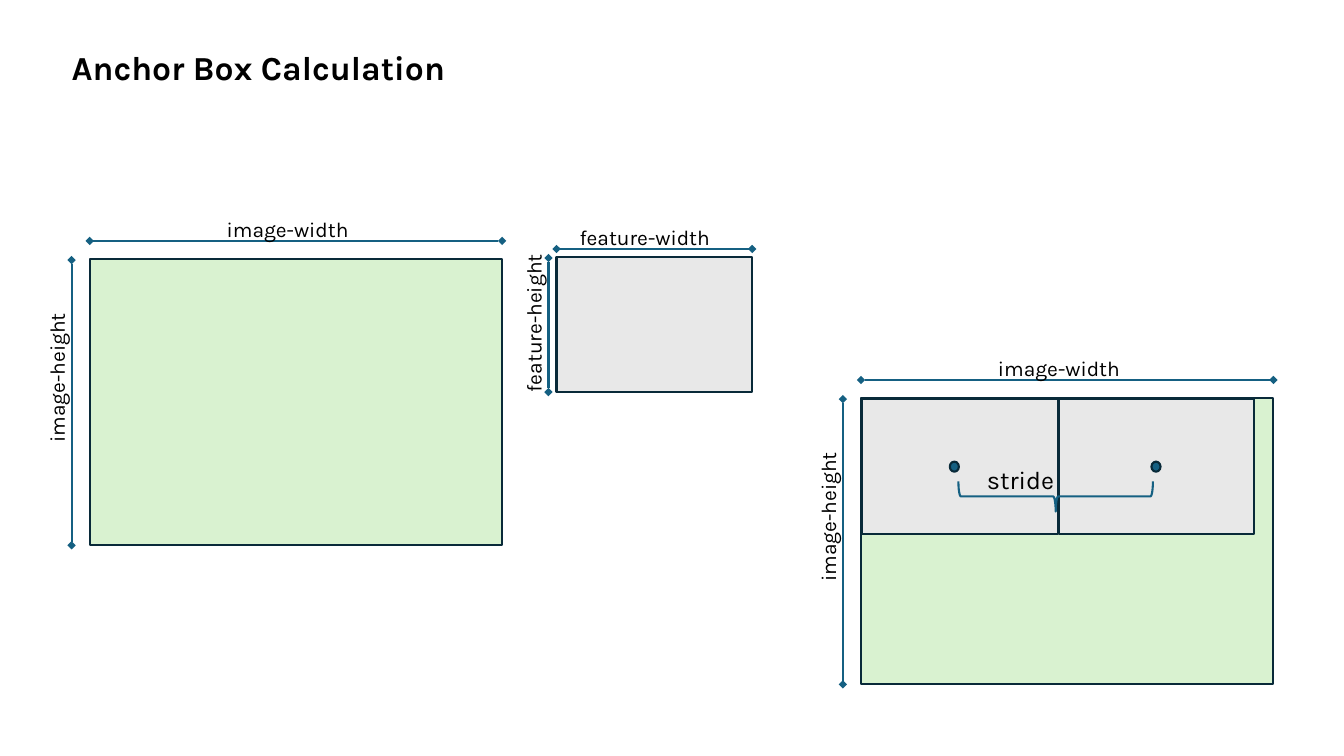
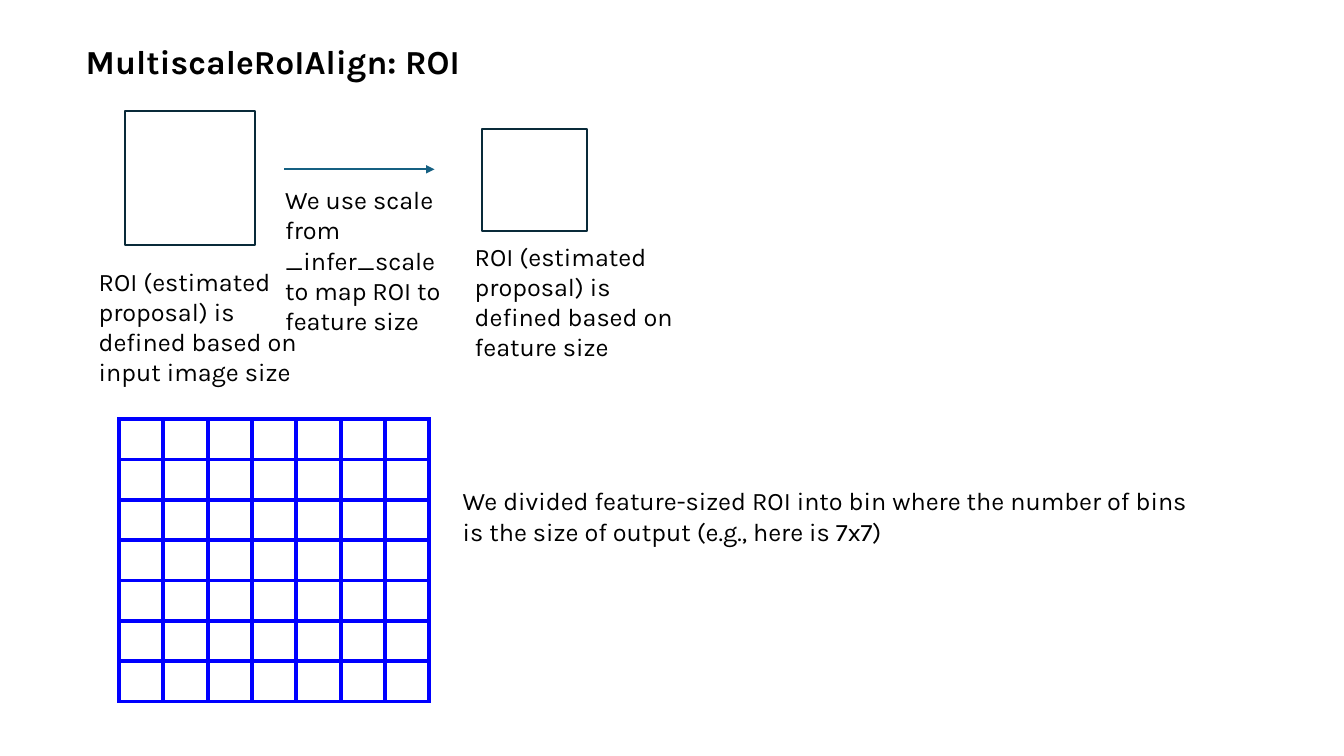
from dataclasses import dataclass

from lxml import etree
from pptx import Presentation
from pptx.dml.color import RGBColor
from pptx.enum.shapes import MSO_CONNECTOR, MSO_SHAPE
from pptx.enum.text import MSO_ANCHOR, MSO_AUTO_SIZE, PP_ALIGN
from pptx.oxml.ns import qn
from pptx.util import Emu, Pt

RECT = MSO_SHAPE.RECTANGLE
OVAL = MSO_SHAPE.OVAL
BRACE = MSO_SHAPE.RIGHT_BRACE
STRAIGHT = MSO_CONNECTOR.STRAIGHT
LEFT = PP_ALIGN.LEFT
TOP = MSO_ANCHOR.TOP
NO_FIT = MSO_AUTO_SIZE.NONE
EMU_PER_PX = 9144
TITLE_ONLY = 5

IMAGE_W, IMAGE_H = 409, 284
FEATURE_W, FEATURE_H = 194, 134


@dataclass(frozen=True)
class Theme:
    font: str = "Karla"
    text: str = "000000"
    outline: str = "092A39"
    accent: str = "156082"
    image: str = "D9F2D0"
    feature: str = "E8E8E8"
    grid: str = "0000FF"
    title_size: int = 24
    body_size: int = 18
    label_size: int = 15
    line_width: float = 1.5
    grid_width: int = 3


def px(n):
    return Emu(round(n * EMU_PER_PX))


def rgb(value):
    return RGBColor.from_string(value)


class Deck:
    """Holds the style and the current slide, and draws each kind of element."""

    def __init__(self, theme):
        self.theme = theme
        self.prs = Presentation()
        self.prs.slide_width, self.prs.slide_height = px(1333), px(750)
        self.s = None

    def slide(self, title, x, y, w):
        self.s = self.prs.slides.add_slide(self.prs.slide_layouts[TITLE_ONLY])
        sp = self.s.shapes.title
        sp.left, sp.top, sp.width, sp.height = px(x), px(y), px(w), px(50)
        self.fill_text(sp.text_frame, title, self.theme.title_size, bold=True)

    def fill_text(self, tf, text, size, bold=False):
        tf.word_wrap = True
        tf.auto_size = NO_FIT
        tf.vertical_anchor = TOP
        p = tf.paragraphs[0]
        p.alignment = LEFT
        r = p.add_run()
        r.text = text
        r.font.name = self.theme.font
        r.font.size = Pt(size)
        r.font.bold = bold
        r.font.color.rgb = rgb(self.theme.text)

    def text(self, text, x, y, w, h, size=None, rotation=0):
        sp = self.s.shapes.add_textbox(px(x), px(y), px(w), px(h))
        sp.rotation = rotation
        self.fill_text(sp.text_frame, text, size or self.theme.body_size)

    def shape(self, kind, x, y, w, h, fill=None, line=None, rotation=0):
        sp = self.s.shapes.add_shape(kind, px(x), px(y), px(w), px(h))
        sp.shadow.inherit = False
        sp.rotation = rotation
        if fill:
            sp.fill.solid()
            sp.fill.fore_color.rgb = rgb(fill)
        else:
            sp.fill.background()
        sp.line.color.rgb = rgb(line or self.theme.outline)
        sp.line.width = Pt(self.theme.line_width)

    def line(self, x1, y1, x2, y2, head=None, tail=None):
        sp = self.s.shapes.add_connector(STRAIGHT, px(x1), px(y1), px(x2), px(y2))
        sp.line.color.rgb = rgb(self.theme.accent)
        sp.line.width = Pt(self.theme.line_width)
        props = sp._element.spPr
        ln = props.find(qn("a:ln"))
        for tag, end in (("a:headEnd", head), ("a:tailEnd", tail)):
            if end:
                etree.SubElement(ln, qn(tag), type=end)
        etree.SubElement(props, qn("a:effectLst"))

    def measured_box(self, name, x, y, w, h, fill, gap, label_x, label_foot):
        self.shape(RECT, x, y, w, h, fill)
        ends = {"head": "diamond", "tail": "diamond"}
        self.line(x, y - gap, x + w, y - gap, **ends)
        self.line(x - gap, y + 1, x - gap, y + h, **ends)
        size, label_w, label_h = self.theme.label_size, 170, 35
        self.text(f"{name}-width", x + label_x, y - gap - 29, label_w, label_h, size)
        self.text(f"{name}-height", x - gap - 15 - label_w / 2,
                  y + label_foot - (label_w + label_h) / 2,
                  label_w, label_h, size, rotation=270)

    def image_box(self, x, y):
        self.measured_box("image", x, y, IMAGE_W, IMAGE_H, self.theme.image,
                          gap=18, label_x=126, label_foot=192)

    def feature_box(self, x, y):
        self.measured_box("feature", x, y, FEATURE_W, FEATURE_H, self.theme.feature,
                          gap=8, label_x=13, label_foot=144)

    def grid(self, x, y, count, cell_w, cell_h):
        frame = self.s.shapes.add_table(count, count, px(x), px(y),
                                        px(count * cell_w), px(count * cell_h))
        table = frame.table
        table.first_row = table.horz_banding = False
        for column in table.columns:
            column.width = px(cell_w)
        for row in table.rows:
            row.height = px(cell_h)
        for cell in table.iter_cells():
            cell.margin_top = cell.margin_bottom = 0
            self.borders(cell)
            cell.fill.background()

    def borders(self, cell):
        props = cell._tc.get_or_add_tcPr()
        for tag in ("a:lnL", "a:lnR", "a:lnT", "a:lnB"):
            ln = etree.SubElement(props, qn(tag), w=str(Pt(self.theme.grid_width)))
            fill = etree.SubElement(ln, qn("a:solidFill"))
            etree.SubElement(fill, qn("a:srgbClr"), val=self.theme.grid)


def anchor_slide(deck):
    theme = deck.theme
    deck.slide("Anchor Box Calculation", 61, 42, 577)
    deck.image_box(89, 257)
    deck.feature_box(552, 255)
    deck.image_box(854, 395)
    for x in (855, 1050):
        deck.shape(RECT, x, 396, FEATURE_W, FEATURE_H, theme.feature)
    for x in (942, 1142):
        deck.shape(OVAL, x, 458, 9, 10, theme.accent)
    deck.shape(BRACE, 1032, 396, 30, 193, line=theme.accent, rotation=90)
    deck.text("stride", 969, 456, 115, 40)


def roi_slide(deck):
    deck.slide("MultiscaleRoIAlign: ROI", 75, 36, 724)
    deck.shape(RECT, 124, 110, 129, 133)
    deck.text("ROI (estimated proposal) is defined based on input image size",
              88, 259, 218, 131)
    deck.line(282, 168, 431, 168, tail="triangle")
    deck.text("We use scale from _infer_scale to map ROI to feature size",
              273, 178, 176, 162)
    deck.shape(RECT, 478, 128, 104, 101)
    deck.text("ROI (estimated proposal) is defined based on feature size",
              461, 234, 218, 131)
    deck.grid(118, 416, 7, 44, 40)
    deck.text("We divided feature-sized ROI into bin where the number of bins "
              "is the size of output (e.g., here is 7x7)", 449, 477, 749, 71)


def main():
    deck = Deck(Theme())
    anchor_slide(deck)
    roi_slide(deck)
    deck.prs.save("out.pptx")


if __name__ == "__main__":
    main()
